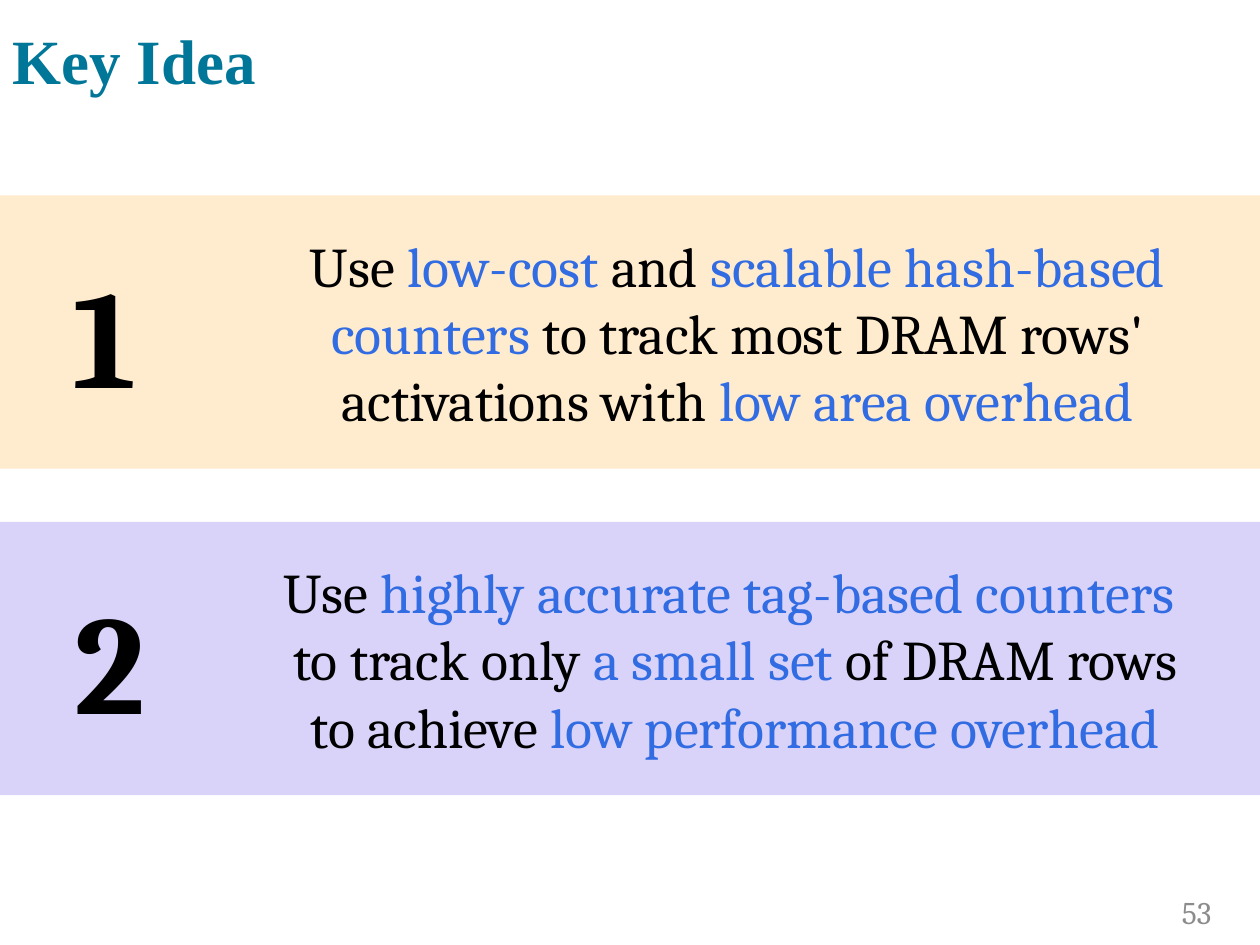
from pptx import Presentation
from pptx.dml.color import RGBColor
from pptx.enum.shapes import MSO_SHAPE
from pptx.enum.text import MSO_ANCHOR, MSO_AUTO_SIZE, PP_ALIGN
from pptx.util import Cm, Pt

RECT = MSO_SHAPE.RECTANGLE
MIDDLE = MSO_ANCHOR.MIDDLE
NO_FIT = MSO_AUTO_SIZE.NONE
LEFT, CENTER, RIGHT = PP_ALIGN.LEFT, PP_ALIGN.CENTER, PP_ALIGN.RIGHT

SLIDE_W, SLIDE_H = 25.4, 19.05
BAND_H, BAND_TOP, BAND_STEP = 5.51, 3.94, 6.58
NUMBER_H, IDEA_H = 3.68, 4.37
BLACK, BLUE, TEAL, GREY = "000000", "316CE3", "007698", "8C8C8C"

# Each idea: fill, number box (left, width), text box (left, width), runs
IDEAS = [
    ("FFEBCD", (-0.94, 6.1), (4.39, 20.96), [
        ("Use ", BLACK), ("low-cost ", BLUE), ("and ", BLACK),
        ("scalable hash-based counters", BLUE),
        (" to track most DRAM rows' activations with ", BLACK),
        ("low area overhead", BLUE)]),
    ("DAD3F9", (-0.86, 6.15), (4.27, 21.11), [
        ("Use ", BLACK), ("highly accurate tag-based counters \n", BLUE),
        ("to track only ", BLACK), ("a small set ", BLUE),
        ("of DRAM rows\nto achieve ", BLACK),
        ("low performance overhead", BLUE)]),
]


def rgb(value):
    return RGBColor.from_string(value)


def write(sp, runs, align, size, name="Cambria", bold=False):
    """Fill a shape with one paragraph of coloured runs."""
    tf = sp.text_frame
    frame = {"word_wrap": True, "auto_size": NO_FIT, "vertical_anchor": MIDDLE}
    for key, value in frame.items():
        setattr(tf, key, value)
    p = tf.paragraphs[0]
    p.alignment = align
    for text, color in runs:
        for i, line in enumerate(text.split("\n")):
            if i:
                p.add_line_break()
            if not line:
                continue
            r = p.add_run()
            r.text = line
            font = {"name": name, "size": Pt(size), "bold": bold}
            for key, value in font.items():
                setattr(r.font, key, value)
            r.font.color.rgb = rgb(color)
    return p


def add_title(s, left, top, width, height):
    sp = s.shapes.title
    box = {"left": left, "top": top, "width": width, "height": height}
    for key, value in box.items():
        setattr(sp, key, Cm(value))
    p = write(sp, [("Key Idea", TEAL)], LEFT, 36, "Times New Roman", True)
    p.line_spacing = 0.9


def add_page_number(s, left, top, width, height):
    sp = s.shapes.add_textbox(Cm(left), Cm(top), Cm(width), Cm(height))
    write(sp, [("53", GREY)], RIGHT, 18)


def add_idea(s, left, top, width, height, number, idea):
    fill, number_span, text_span, runs = idea
    shapes = s.shapes.add_group_shape().shapes

    # Coloured band
    band = shapes.add_shape(RECT, Cm(left), Cm(top), Cm(width), Cm(height))
    band.shadow.inherit = False
    band.fill.solid()
    band.fill.fore_color.rgb = rgb(fill)
    band.line.fill.background()

    # Number and statement, both centred vertically in the band
    parts = [(number_span, NUMBER_H, [(str(number), BLACK)], 80, True),
             (text_span, IDEA_H, runs, 32, False)]
    for (x, w), h, part_runs, size, bold in parts:
        y = top + (height - h) / 2
        sp = shapes.add_textbox(Cm(left + x), Cm(y), Cm(w), Cm(h))
        write(sp, part_runs, CENTER, size, bold=bold)


def main():
    prs = Presentation()
    prs.slide_width, prs.slide_height = Cm(SLIDE_W), Cm(SLIDE_H)
    s = prs.slides.add_slide(prs.slide_layouts[5])
    add_title(s, 0, 0, SLIDE_W, 2.59)
    add_page_number(s, 23.32, 18.11, 1.35, 0.56)
    for i, idea in enumerate(IDEAS):
        add_idea(s, 0, BAND_TOP + i * BAND_STEP, SLIDE_W, BAND_H, i + 1, idea)
    prs.save("out.pptx")


if __name__ == "__main__":
    main()
